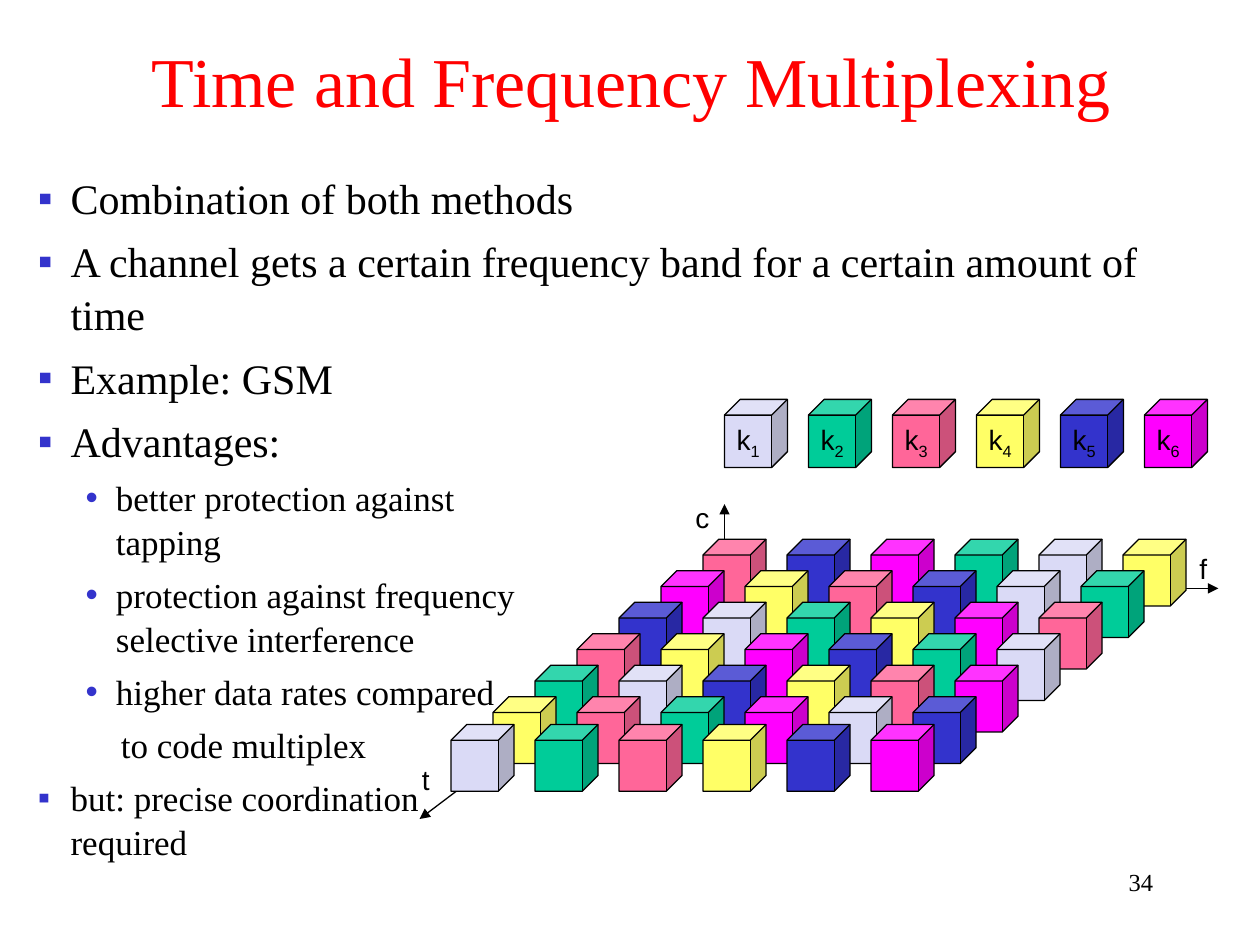
import copy

import pptx
import pptx.dml.color
import pptx.enum.shapes
import pptx.enum.text
import pptx.oxml.ns
import pptx.util
from lxml import etree
from pptx.util import Inches

qn = pptx.oxml.ns.qn
ALIGN = pptx.enum.text.PP_ALIGN
ANCHOR = pptx.enum.text.MSO_ANCHOR

CHANNELS = ["DADAF6", "00CC99", "FF6699", "FFFF66", "3333CC", "FF00FF"]
# Channel numbers per time slot, back row first
SLOTS = ["356214", "643512", "512463", "346521", "215436", "432615", "123456"]
ROW_TOPS = [4.28, 4.53, 4.78, 5.03, 5.28, 5.53, 5.75]
PITCH = 2 / 3
ORIGIN = (5.75, 4.67)

# Left margin, first-line indent, bullet, level, space before
MAIN = (0.26, -0.26, "▪", 0, 6)
SUB = (0.62, -0.24, "•", 1, 5)
CONTINUED = (0.66, 0, None, 1, 5)
LAST = (0.26, -0.26, "▪", 0, 5)
BODY = [
    ("Combination of both methods", 24, MAIN),
    ("A channel gets a certain frequency band for a certain amount of time",
     24, MAIN),
    ("Example: GSM", 24, MAIN),
    ("Advantages:", 24, MAIN),
    ("better protection against\vtapping", 20, SUB),
    ("protection against frequency\vselective interference", 20, SUB),
    ("higher data rates compared", 20, SUB),
    ("to code multiplex", 20, CONTINUED),
    ("but: precise coordination\vrequired", 20, LAST),
]


def rgb(value):
    return pptx.dml.color.RGBColor.from_string(value)


def set_attrs(obj, **values):
    for name, value in values.items():
        setattr(obj, name, value)


def style_run(r, size, face, color="000000"):
    set_attrs(r.font, size=pptx.util.Pt(size), name=face)
    r.font.color.rgb = rgb(color)


def place(sp, left, top, width, height):
    set_attrs(sp, left=Inches(left), top=Inches(top),
              width=Inches(width), height=Inches(height))


def add_title(s, text):
    sp = s.shapes.title
    place(sp, 0.23, 0.2, 9.56, 0.86)
    tf = sp.text_frame
    set_attrs(tf, text=text, vertical_anchor=ANCHOR.MIDDLE,
              auto_size=pptx.enum.text.MSO_AUTO_SIZE.NONE)
    p = tf.paragraphs[0]
    p.alignment = ALIGN.CENTER
    style_run(p.runs[0], 40, "Times New Roman", "FF0000")


def set_bullet(p, left, indent, char):
    pPr = p._p.get_or_add_pPr()
    pPr.set("marL", str(Inches(left)))
    pPr.set("indent", str(Inches(indent)))
    if char is None:
        etree.SubElement(pPr, qn("a:buNone"))
        return
    clr = etree.SubElement(pPr, qn("a:buClr"))
    etree.SubElement(clr, qn("a:srgbClr"), val="3333CC")
    etree.SubElement(pPr, qn("a:buFont"), typeface="Arial")
    etree.SubElement(pPr, qn("a:buChar"), char=char)


def add_body(s, items):
    sp = s.placeholders[1]
    place(sp, 0.2, 1.28, 9.58, 5.93)
    tf = sp.text_frame
    set_attrs(tf, auto_size=pptx.enum.text.MSO_AUTO_SIZE.NONE,
              margin_top=Inches(0.07))
    for i, (text, size, (left, indent, char, level, before)) in enumerate(items):
        p = tf.add_paragraph() if i else tf.paragraphs[0]
        set_attrs(p, text=text, level=level, line_spacing=1.05,
                  space_before=pptx.util.Pt(before if i else 0))
        set_bullet(p, left, indent, char)
        for r in p.runs:
            style_run(r, size, "Times New Roman")
        for br in p._p.findall(qn("a:br")):
            br.insert(0, copy.deepcopy(p.runs[0]._r.rPr))


def add_label(s, text, box, size=16, face="Arial", align=ALIGN.LEFT, wrap=False):
    tf = s.shapes.add_textbox(*map(Inches, box)).text_frame
    tf.word_wrap = wrap
    p = tf.paragraphs[0]
    p.alignment = align
    r = p.add_run()
    r.text = text
    style_run(r, size, face)


def add_axis(s, end):
    """Draw an arrow from the origin of the axes to end."""
    line = s.shapes.add_connector(pptx.enum.shapes.MSO_CONNECTOR.STRAIGHT,
                                  *map(Inches, ORIGIN + end))
    line.line.color.rgb = rgb("000000")
    line.line.width = pptx.util.Pt(0.75)
    etree.SubElement(line.line._get_or_add_ln(), qn("a:tailEnd"), type="triangle")
    etree.SubElement(line._element.spPr, qn("a:effectLst"))


def add_cube(s, left, top, channel, height=0.53):
    sp = s.shapes.add_shape(pptx.enum.shapes.MSO_SHAPE.CUBE, Inches(left),
                            Inches(top), Inches(0.5), Inches(height))
    sp.shadow.inherit = False
    sp.adjustments[0] = 0.25
    sp.fill.solid()
    sp.fill.fore_color.rgb = rgb(CHANNELS[channel - 1])
    sp.line.color.rgb = rgb("000000")
    sp.line.width = pptx.util.Pt(0.75)
    return sp


def add_legend(s):
    for i in range(len(CHANNELS)):
        tf = add_cube(s, 5.75 + i * PITCH, 3.17, i + 1, 0.54).text_frame
        set_attrs(tf, word_wrap=False, vertical_anchor=ANCHOR.MIDDLE)
        p = tf.paragraphs[0]
        p.alignment = ALIGN.CENTER
        for text in ("k", str(i + 1)):
            r = p.add_run()
            r.text = text
            style_run(r, 16, "Arial")
        r.font._element.set("baseline", "-25000")


def add_slot_grid(s):
    for row, (slot, top) in enumerate(zip(SLOTS, ROW_TOPS)):
        for col, channel in enumerate(slot):
            add_cube(s, 5.58 + col * PITCH - row * PITCH / 2, top, int(channel))


def main():
    prs = pptx.Presentation()
    set_attrs(prs, slide_width=Inches(10), slide_height=Inches(7.5))
    s = prs.slides.add_slide(prs.slide_layouts[1])
    add_title(s, "Time and Frequency Multiplexing")
    add_body(s, BODY)
    add_label(s, "34", (7.17, 6.83, 2.08, 0.5), 14, "Times New Roman",
              ALIGN.RIGHT, True)
    for end in [(9.67, 4.67), (3.33, 6.5), (5.75, 4)]:
        add_axis(s, end)
    add_label(s, "f", (9.42, 4.33, 0.26, 0.37))
    add_slot_grid(s)
    add_label(s, "t", (3.25, 6, 0.26, 0.37))
    add_label(s, "c", (5.42, 3.92, 0.31, 0.37))
    add_legend(s)
    prs.save("out.pptx")


if __name__ == "__main__":
    main()
